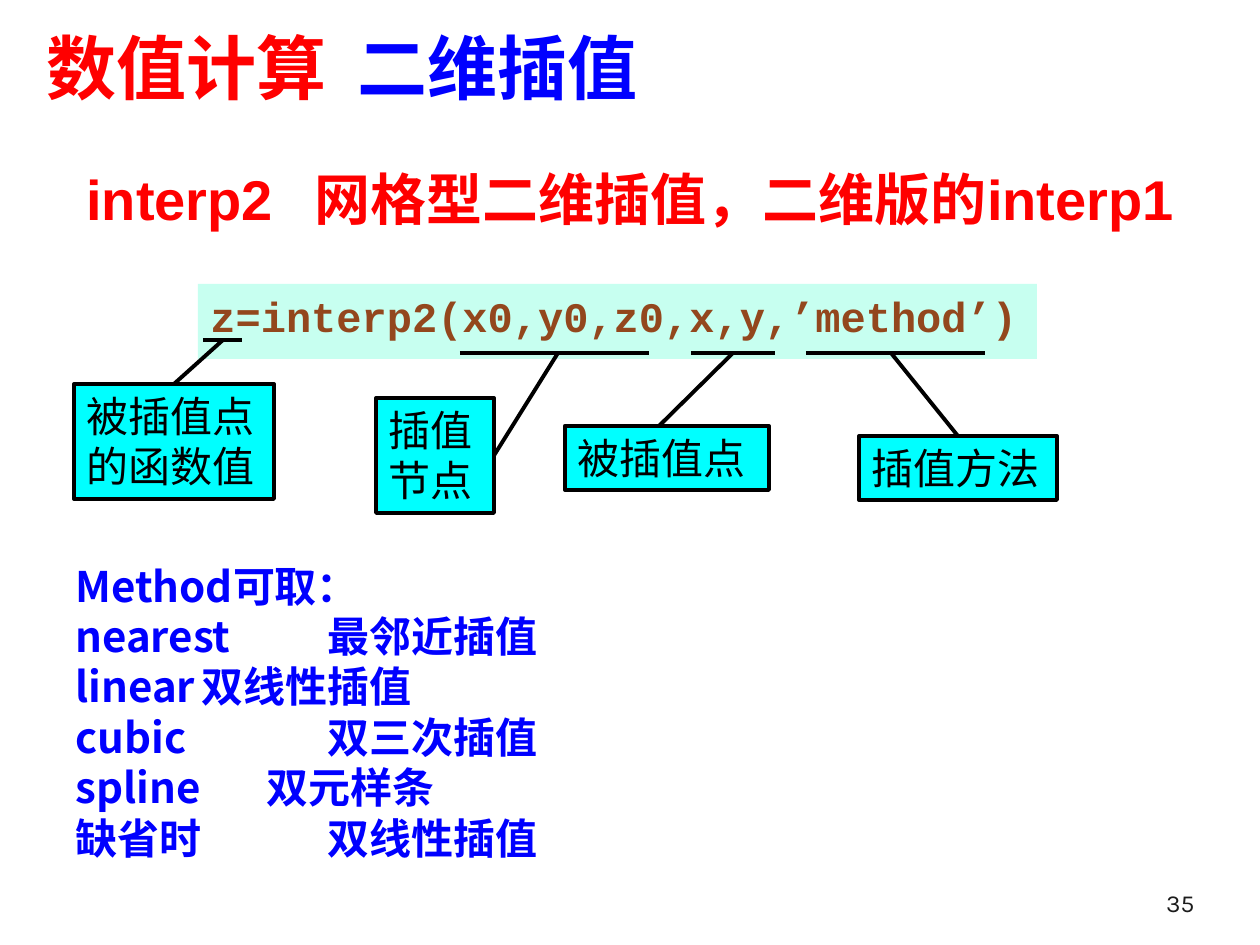
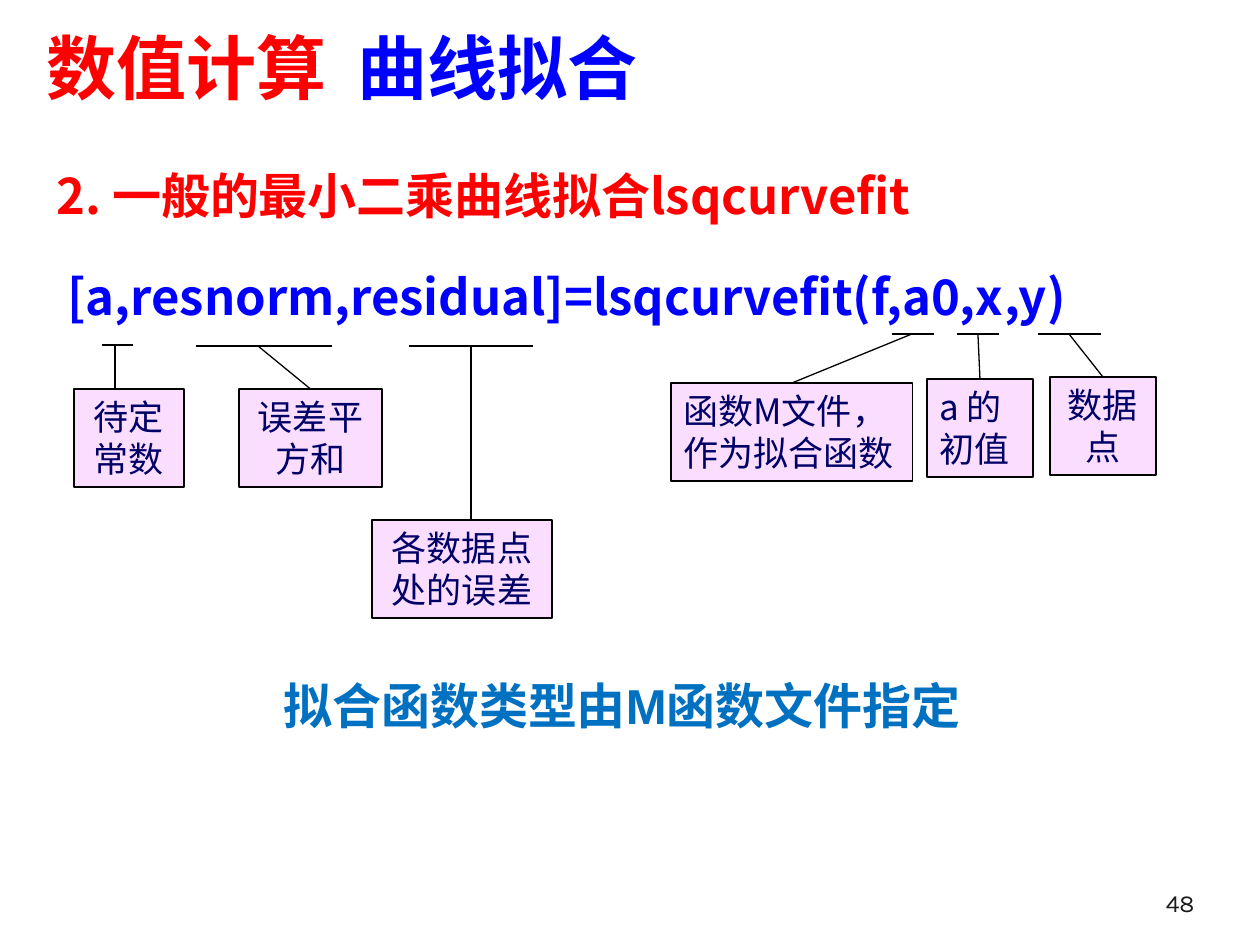
from dataclasses import dataclass
from typing import Optional

from lxml.etree import SubElement
from pptx import Presentation
from pptx.dml.color import RGBColor
from pptx.enum.shapes import MSO_CONNECTOR, MSO_SHAPE
from pptx.enum.text import MSO_ANCHOR, PP_ALIGN
from pptx.oxml.ns import qn
from pptx.util import Emu, Pt

PX = 914400 // 126
CJK_FONT = "Noto Sans CJK SC"
RED, BLUE, BLACK = "FF0000", "0000FF", "000000"
TOP, RIGHT = 0, 3  # connection sites of a rectangle
LEFT, CENTER = PP_ALIGN.LEFT, PP_ALIGN.CENTER

CHAPTER = "数值计算"
TITLE_BOX, TITLE_TAB = (34, 26, 1081, 89), 311
NUMBER_BOX = (945, 861, 262, 63)


@dataclass
class Callout:
    """A labelled box with a leader to an underlined part of the code line."""
    text: str
    box: tuple        # left, top, width, height
    underline: tuple  # from x, to x, y
    leader_x: int     # where the leader leaves the underline
    site: Optional[int] = TOP
    end_x: int = 0    # leader end on the box top when no site is joined
    align: PP_ALIGN = LEFT


@dataclass
class CalloutStyle:
    fill: str
    color: str
    font: str
    size: int
    line_width: float


INTERP_STYLE = CalloutStyle("00FFFF", BLACK, "Times New Roman", 24, 2.25)
FIT_STYLE = CalloutStyle("FADDFF", "000066", CJK_FONT, 20, 0.75)

INTERP_HEADING = "interp2\t网格型二维插值，二维版的interp1"
INTERP_CALL = "z=interp2(x0,y0,z0,x,y,’method’)"
INTERP_CALLOUTS = [
    Callout("被插值点的函数值", (74, 384, 200, 115), (203, 242, 340), 223),
    Callout("插值节点", (376, 398, 118, 115), (460, 649, 353), 558, site=RIGHT),
    Callout("被插值点", (565, 426, 204, 64), (691, 775, 353), 733, None, 659),
    Callout("插值方法", (859, 436, 198, 64), (806, 985, 353), 891),
]
METHODS = [  # text, tab stop
    ("Method可取：", None),
    ("nearest\t最邻近插值", 252),
    ("linear\t双线性插值", 126),
    ("cubic\t双三次插值", 252),
    ("spline\t双元样条", 191),
    ("缺省时\t双线性插值", 252),
]

FIT_LINES = [  # text, colour, indent, space before
    ("2. 一般的最小二乘曲线拟合lsqcurvefit", RED, 0, 0),
    ("[a,resnorm,residual]=lsqcurvefit(f,a0,x,y)", BLUE, 11, 14),
]
FIT_CALLOUTS = [
    Callout("待定常数", (74, 389, 110, 98), (102, 133, 345), 115, None, 115, CENTER),
    Callout("误差平方和", (239, 389, 143, 98), (196, 332, 346), 258, align=CENTER),
    Callout("各数据点处的误差", (372, 520, 180, 98), (409, 533, 346), 471, None, 471, CENTER),
    Callout("函数M文件，作为拟合函数", (671, 383, 242, 98), (892, 934, 334), 912),
    Callout("a 的初值", (927, 379, 106, 98), (957, 999, 334), 978),
    Callout("数据点", (1050, 377, 106, 98), (1038, 1101, 334), 1069, align=CENTER),
]
FIT_NOTE = "拟合函数类型由M函数文件指定"


def rgb(value):
    return RGBColor.from_string(value)


def px(*values):
    return [Emu(value * PX) for value in values]


def format_run(run, font, size, color, bold):
    run.font.size = Pt(size)
    run.font.bold = bold
    run.font.color.rgb = rgb(color)
    run.font.name = font
    SubElement(run.font._element, qn("a:ea"), typeface=CJK_FONT)


def write(paragraph, text, font, size, color, bold=False, align=LEFT, tab=None):
    paragraph.text = text
    if tab:
        tabs = SubElement(paragraph._p.get_or_add_pPr(), qn("a:tabLst"))
        SubElement(tabs, qn("a:tab"), pos=str(tab * PX), algn="l")
    paragraph.alignment = align
    for run in paragraph.runs:
        format_run(run, font, size, color, bold)


def add_text_frame(slide, box, anchor=MSO_ANCHOR.TOP):
    text_frame = slide.shapes.add_textbox(*px(*box)).text_frame
    text_frame.word_wrap = True
    text_frame.vertical_anchor = anchor
    return text_frame


def add_text(slide, box, text, *style, anchor=MSO_ANCHOR.TOP, **options):
    text_frame = add_text_frame(slide, box, anchor)
    write(text_frame.paragraphs[0], text, *style, **options)
    return text_frame


def add_paragraphs(text_frame, count):
    """Return count paragraphs, the first being the one already there."""
    added = [text_frame.add_paragraph() for _ in range(count - 1)]
    return [text_frame.paragraphs[0], *added]


def add_box(slide, box, fill, line_width=0):
    shape = slide.shapes.add_shape(MSO_SHAPE.RECTANGLE, *px(*box))
    shape.shadow.inherit = False
    shape.fill.solid()
    shape.fill.fore_color.rgb = rgb(fill)
    if line_width:
        shape.line.color.rgb = rgb(BLACK)
        shape.line.width = Pt(line_width)
    else:
        shape.line.fill.background()
    shape.text_frame.word_wrap = True
    shape.text_frame.vertical_anchor = MSO_ANCHOR.TOP
    return shape


def add_line(slide, start, end, width):
    line = slide.shapes.add_connector(MSO_CONNECTOR.STRAIGHT, *px(*start, *end))
    line.line.color.rgb = rgb(BLACK)
    line.line.width = Pt(width)
    SubElement(line._element.spPr, qn("a:effectLst"))
    return line


def add_callout(slide, callout, style):
    shape = add_box(slide, callout.box, style.fill, style.line_width)
    write(shape.text_frame.paragraphs[0], callout.text, style.font, style.size,
          style.color, align=callout.align)
    left, right, y = callout.underline
    add_line(slide, (left, y), (right, y), style.line_width)
    leader = add_line(slide, (callout.leader_x, y), (callout.end_x, callout.box[1]),
                      style.line_width)
    if callout.site is not None:
        leader.end_connect(shape, callout.site)


def add_slide(presentation, topic, number):
    """Add a blank slide with the shared title and page number."""
    slide = presentation.slides.add_slide(presentation.slide_layouts[6])
    title = add_text(slide, TITLE_BOX, CHAPTER, "Arial", 40, RED, True,
                     tab=TITLE_TAB, anchor=MSO_ANCHOR.BOTTOM)
    topic_run = title.paragraphs[0].add_run()
    topic_run.text = "\t" + topic
    format_run(topic_run, "Arial", 40, BLUE, True)
    add_text(slide, NUMBER_BOX, str(number), "Karla", 14, "1C1C1C",
             align=PP_ALIGN.RIGHT, anchor=MSO_ANCHOR.BOTTOM)
    return slide


def build_interpolation(presentation):
    slide = add_slide(presentation, "二维插值", 35)
    add_text(slide, (74, 159, 1152, 79), INTERP_HEADING, "Arial", 32, RED, True,
             tab=228, anchor=MSO_ANCHOR.BOTTOM)
    code = add_box(slide, (198, 284, 839, 75), "C7FFF0")
    write(code.text_frame.paragraphs[0], INTERP_CALL, "Courier New", 24, "93471D", True)
    for callout in INTERP_CALLOUTS:
        add_callout(slide, callout, INTERP_STYLE)
    text_frame = add_text_frame(slide, (63, 554, 1124, 318))
    for paragraph, (text, tab) in zip(add_paragraphs(text_frame, len(METHODS)), METHODS):
        write(paragraph, text, CJK_FONT, 24, BLUE, True, tab=tab)


def build_curve_fit(presentation):
    slide = add_slide(presentation, "曲线拟合", 48)
    text_frame = add_text_frame(slide, (44, 142, 1150, 197))
    paragraphs = add_paragraphs(text_frame, len(FIT_LINES))
    for paragraph, (text, color, indent, space) in zip(paragraphs, FIT_LINES):
        write(paragraph, text, CJK_FONT, 28, color, True)
        paragraph._p.get_or_add_pPr().set("marL", str(indent * PX))
        paragraph.line_spacing = 1.3
        paragraph.space_before = Pt(space)
    for callout in FIT_CALLOUTS:
        add_callout(slide, callout, FIT_STYLE)
    add_text(slide, (271, 669, 713, 72), FIT_NOTE, "Arial", 28, "0070C0", True)


def main():
    presentation = Presentation()
    presentation.slide_width, presentation.slide_height = px(1260, 945)
    build_interpolation(presentation)
    build_curve_fit(presentation)
    presentation.save("out.pptx")


if __name__ == "__main__":
    main()
